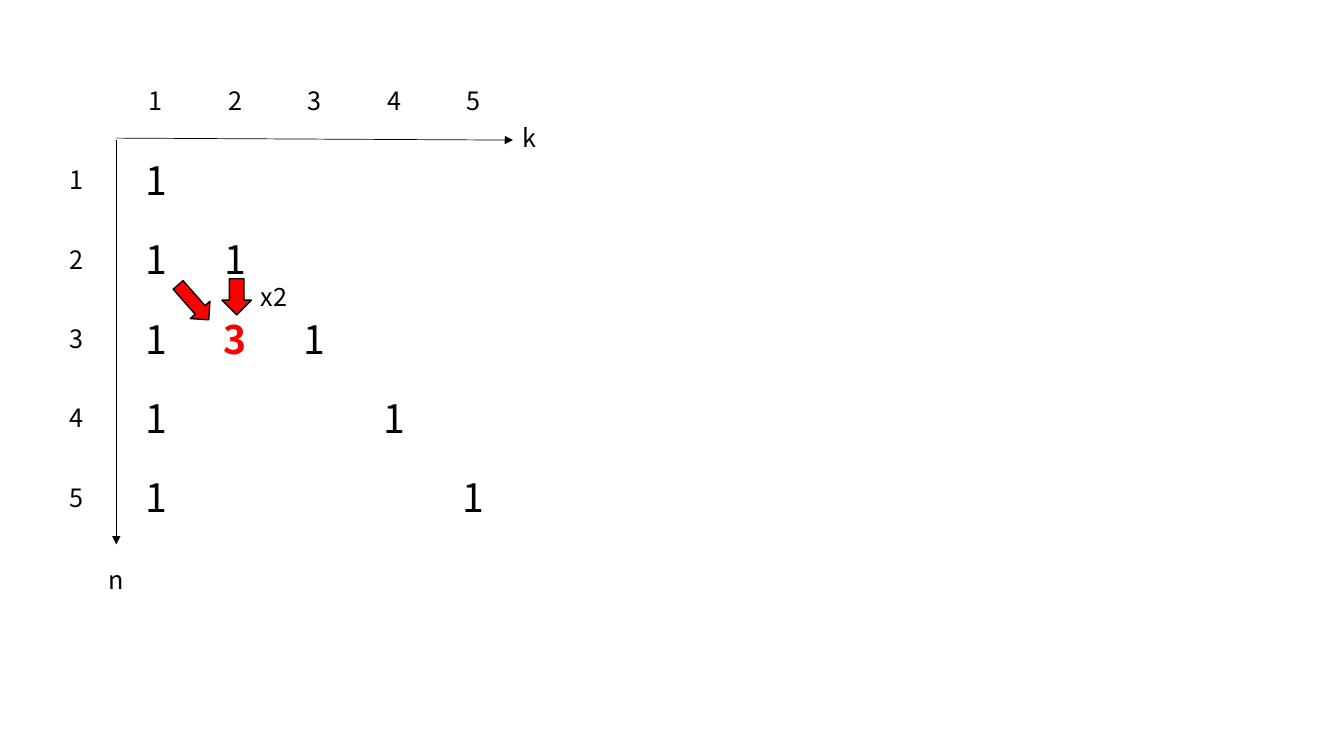
from dataclasses import dataclass

from lxml.etree import SubElement
from pptx import Presentation
from pptx.dml.color import RGBColor
from pptx.enum.shapes import MSO_CONNECTOR, MSO_SHAPE
from pptx.enum.text import MSO_ANCHOR, MSO_AUTO_SIZE, PP_ALIGN
from pptx.oxml.ns import qn
from pptx.shapes.autoshape import Shape
from pptx.slide import Slide
from pptx.util import Cm, Pt

BLACK = RGBColor(0, 0, 0)
RED = RGBColor(255, 0, 0)
FONT = "Noto Sans CJK JP"
SIDE = 2
LEFT = 2.93
TOP = 3.53
COUNT = 5


@dataclass
class Cell:
    row: int
    col: int
    text: str
    size: int = 28
    color: RGBColor = BLACK
    bold: bool = False


@dataclass
class Label:
    text: str
    left: float
    top: float
    width: float


@dataclass
class Axis:
    left: float
    top: float
    right: float
    base: float


@dataclass
class Arrow:
    left: float
    top: float
    width: float
    height: float
    turn: float


def add_text(slide: Slide, text: str, left: float, top: float, width: float,
             height: float, size: int, color: RGBColor, bold: bool) -> Shape:
    box = slide.shapes.add_textbox(Cm(left), Cm(top), Cm(width), Cm(height))
    run = box.text_frame.paragraphs[0].add_run()
    run.text = text
    run.font.name = FONT
    run.font.size = Pt(size)
    run.font.bold = bold
    run.font.color.rgb = color
    return box


def add_cell(slide: Slide, cell: Cell) -> None:
    left = LEFT + SIDE * (cell.col - 1)
    top = TOP + SIDE * (cell.row - 1)
    box = add_text(slide, cell.text, left, top, SIDE, SIDE,
                   cell.size, cell.color, cell.bold)
    frame = box.text_frame
    frame.word_wrap = True
    frame.vertical_anchor = MSO_ANCHOR.MIDDLE
    frame.paragraphs[0].alignment = PP_ALIGN.CENTER


def add_label(slide: Slide, label: Label) -> None:
    box = add_text(slide, label.text, label.left, label.top, label.width, 1.02,
                   18, BLACK, False)
    box.text_frame.word_wrap = False
    box.text_frame.auto_size = MSO_AUTO_SIZE.SHAPE_TO_FIT_TEXT


def add_axis(slide: Slide, axis: Axis) -> None:
    line = slide.shapes.add_connector(
        MSO_CONNECTOR.STRAIGHT, Cm(axis.left), Cm(axis.top),
        Cm(axis.right), Cm(axis.base))
    line.line.color.rgb = BLACK
    line.line.width = Pt(0.5)
    SubElement(line.line._get_or_add_ln(), qn("a:tailEnd"), type="triangle")
    SubElement(line._element.spPr, qn("a:effectLst"))


def add_arrow(slide: Slide, arrow: Arrow) -> None:
    shape = slide.shapes.add_shape(
        MSO_SHAPE.RIGHT_ARROW, Cm(arrow.left), Cm(arrow.top),
        Cm(arrow.width), Cm(arrow.height))
    shape.rotation = arrow.turn
    shape.shadow.inherit = False
    shape.fill.solid()
    shape.fill.fore_color.rgb = RED
    shape.line.color.rgb = BLACK
    shape.line.width = Pt(1)


AXES = [
    Axis(LEFT, TOP, LEFT, 13.72),
    Axis(LEFT, 3.48, LEFT + SIDE * COUNT, TOP),
]
LABELS = [
    Label("n", 2.49, 14.1, 0.89),
    Label("k", 12.93, 2.97, 0.86),
    Label("x2", 6.32, 6.96, 1.17),
]
ARROWS = [
    Arrow(5.51, 7.11, 0.91, 0.74, 90),
    Arrow(4.29, 7.29, 1.17, 0.66, 48.7),
]
STEPS = range(1, COUNT + 1)
CELLS = [
    *(Cell(num, 1, "1") for num in STEPS),
    *(Cell(num, num, "1") for num in STEPS[1:]),
    *(Cell(num, 0, str(num), 18) for num in STEPS),
    *(Cell(0, num, str(num), 18) for num in STEPS),
    Cell(3, 2, "3", color=RED, bold=True),
]

deck = Presentation()
deck.slide_width = Cm(33.87)
deck.slide_height = Cm(19.05)
slide = deck.slides.add_slide(deck.slide_layouts[6])
for axis in AXES:
    add_axis(slide, axis)
for cell in CELLS:
    add_cell(slide, cell)
for arrow in ARROWS:
    add_arrow(slide, arrow)
for label in LABELS:
    add_label(slide, label)
deck.save("out.pptx")
